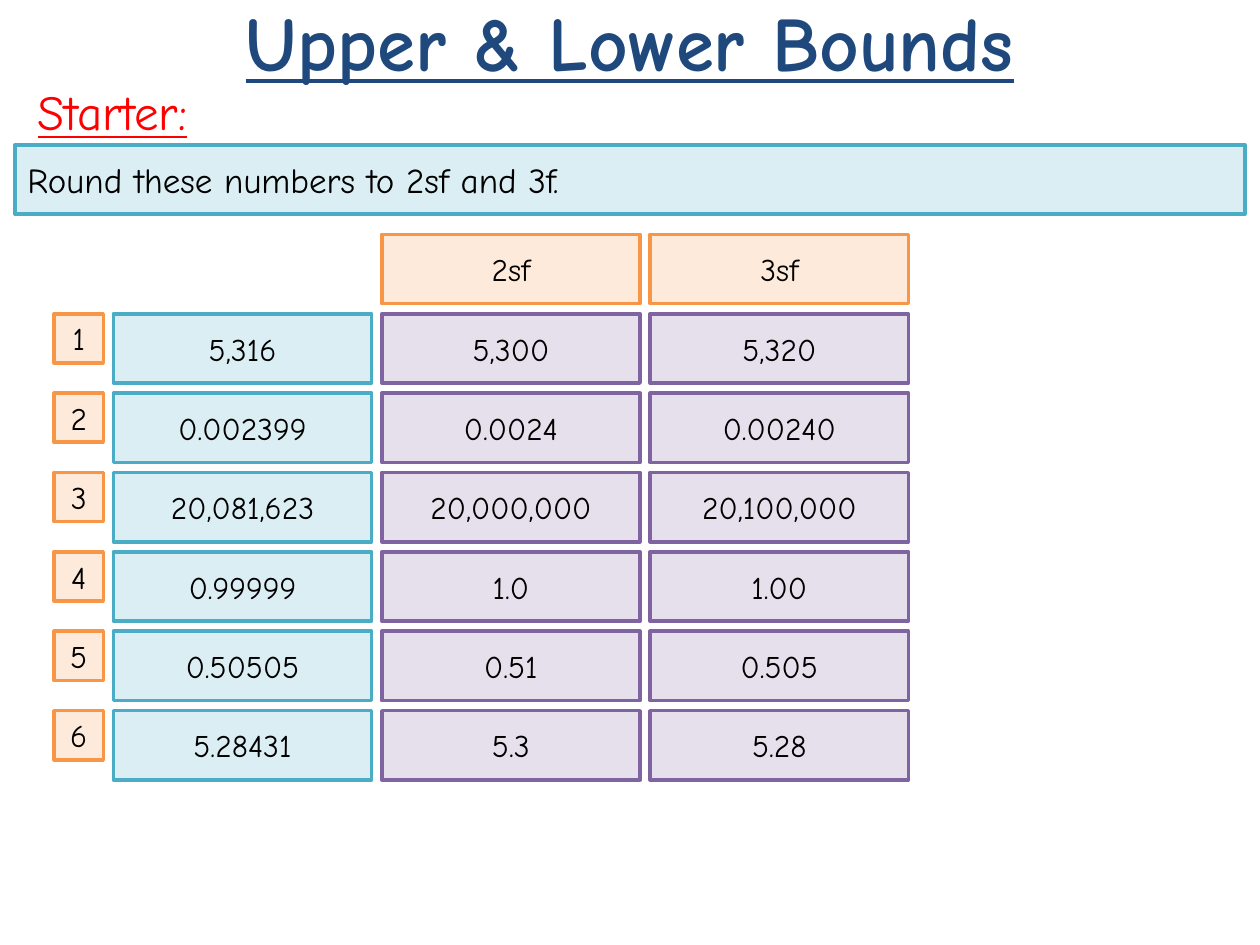
from dataclasses import dataclass

from pptx import Presentation
from pptx import util as u
from pptx.dml.color import RGBColor
from pptx.enum import shapes, text

PX = 9144  # EMU per px, 100 px to the inch
FONT = "Comic Neue"
COLORS = {
    "title": "1F497D",
    "starter": "FF0000",
    "text": "000000",
    "blue": "DBEEF4",
    "blue_line": "4BACC6",
    "orange": "FDEADA",
    "orange_line": "F79646",
    "purple": "E6E0EC",
    "purple_line": "8064A2",
}

NUMBER_X, NUMBER_SIZE = 43, 39
GRID_X, HEADER_Y = 90, 186
CELL_W, CELL_H, GAP = 205, 55, 8
COLUMN_STYLES = ("blue", "purple", "purple")
HEADERS = ("2sf", "3sf")
ROWS = (
    ("5,316", "5,300", "5,320"),
    ("0.002399", "0.0024", "0.00240"),
    ("20,081,623", "20,000,000", "20,100,000"),
    ("0.99999", "1.0", "1.00"),
    ("0.50505", "0.51", "0.505"),
    ("5.28431", "5.3", "5.28"),
)


@dataclass
class Box:
    x: int
    y: int
    w: int
    h: int
    label: str
    style: str
    size: int = 18
    align: text.PP_ALIGN = text.PP_ALIGN.CENTER


def rgb(name: str) -> RGBColor:
    return RGBColor.from_string(COLORS[name])


def place(sp, x: int, y: int, w: int, h: int) -> None:
    sp.left, sp.top, sp.width, sp.height = (u.Emu(v * PX) for v in (x, y, w, h))


def write(sp, label: str, size: int, color: str, align: text.PP_ALIGN,
          anchor: text.MSO_ANCHOR = text.MSO_ANCHOR.MIDDLE,
          bold: bool = False, underline: bool = False) -> None:
    tf = sp.text_frame
    tf.word_wrap = True
    tf.auto_size = text.MSO_AUTO_SIZE.NONE
    tf.vertical_anchor = anchor
    p = tf.paragraphs[0]
    p.text = label
    p.alignment = align
    p.font.name = FONT
    p.font.size = u.Pt(size)
    p.font.bold = bold
    p.font.underline = underline
    p.font.color.rgb = rgb(color)


def draw_box(s, box: Box) -> None:
    sp = s.shapes.add_shape(shapes.MSO_SHAPE.RECTANGLE, 0, 0, 0, 0)
    place(sp, box.x, box.y, box.w, box.h)
    sp.shadow.inherit = False
    sp.fill.solid()
    sp.fill.fore_color.rgb = rgb(box.style)
    sp.line.color.rgb = rgb(f"{box.style}_line")
    sp.line.width = u.Pt(2)
    write(sp, box.label, box.size, "text", box.align)


def draw_grid(s) -> None:
    """Draw the header cells, then each numbered row of roundings."""
    columns = [GRID_X + i * (CELL_W + GAP) for i in range(len(COLUMN_STYLES))]
    for x, label in zip(columns[1:], HEADERS):
        draw_box(s, Box(x, HEADER_Y, CELL_W, CELL_H, label, "orange"))
    for number, row in enumerate(ROWS, start=1):
        y = HEADER_Y + number * (CELL_H + GAP)
        draw_box(s, Box(NUMBER_X, y, NUMBER_SIZE, NUMBER_SIZE, str(number), "orange"))
        for x, label, style in zip(columns, row, COLUMN_STYLES):
            draw_box(s, Box(x, y, CELL_W, CELL_H, label, style))


def main() -> None:
    prs = Presentation()
    prs.slide_width, prs.slide_height = u.Emu(1000 * PX), u.Emu(750 * PX)
    s = prs.slides.add_slide(prs.slide_layouts.get_by_name("Title Only"))

    title = s.shapes.title
    place(title, 0, -3, 1000, 71)
    write(title, "Upper & Lower Bounds", 44, "title", text.PP_ALIGN.CENTER,
          bold=True, underline=True)

    starter = s.shapes.add_textbox(0, 0, 0, 0)
    place(starter, 20, 60, 953, 653)
    write(starter, "Starter:", 28, "starter", text.PP_ALIGN.LEFT,
          anchor=text.MSO_ANCHOR.TOP, underline=True)

    draw_box(s, Box(12, 115, 976, 55, "Round these numbers to 2sf and 3f.",
                    "blue", 20, text.PP_ALIGN.LEFT))
    draw_grid(s)
    prs.save("out.pptx")


if __name__ == "__main__":
    main()
